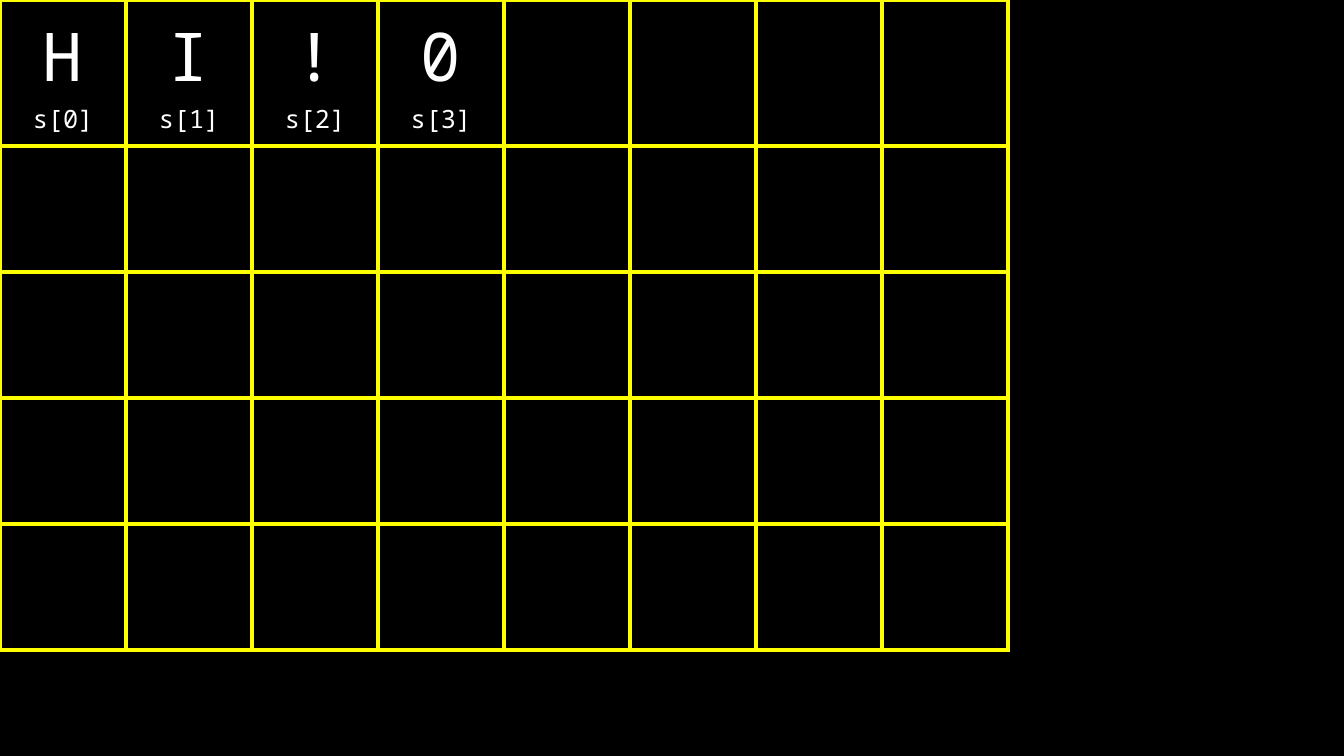
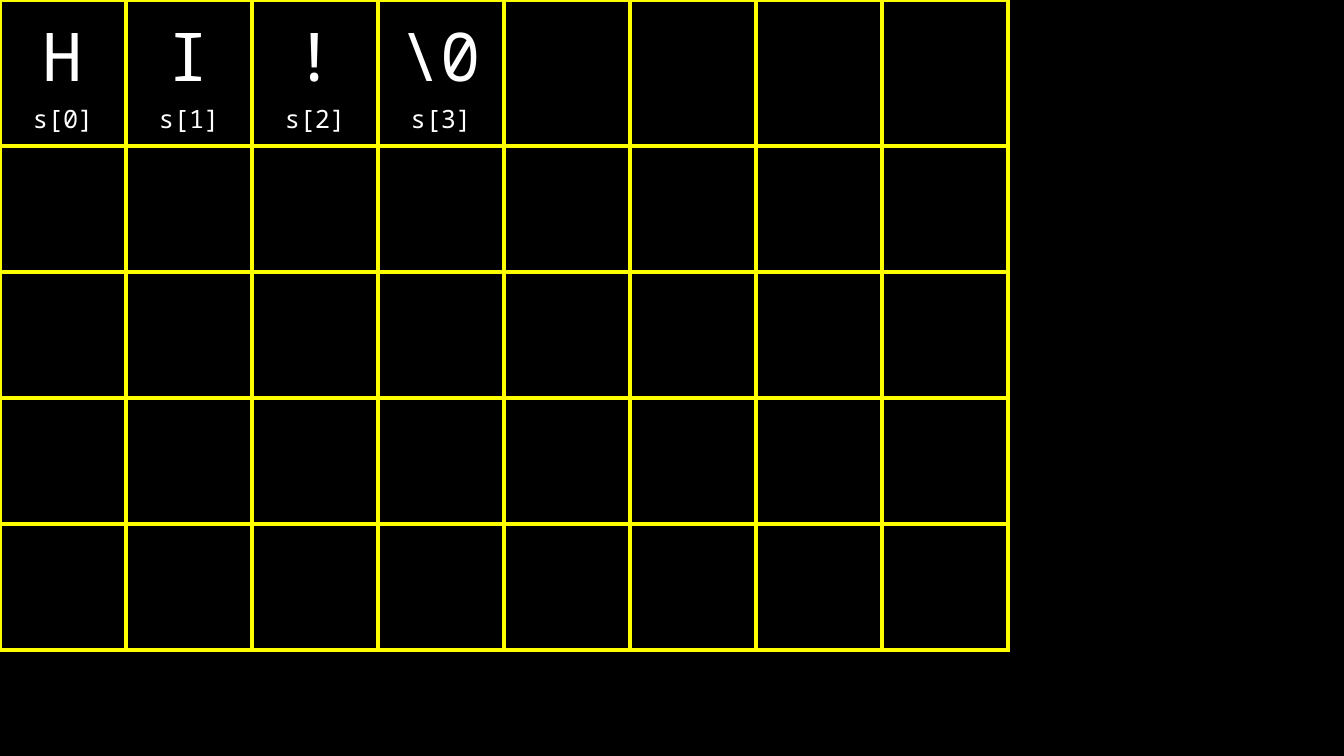
import dataclasses

import lxml.etree
import pptx
import pptx.dml.color
import pptx.enum.text
import pptx.oxml.ns
import pptx.presentation
import pptx.table
import pptx.util

BLACK = pptx.dml.color.RGBColor(0x00, 0x00, 0x00)
WHITE = pptx.dml.color.RGBColor(0xFF, 0xFF, 0xFF)
YELLOW = pptx.dml.color.RGBColor(0xFF, 0xFF, 0x00)
FONT = "Noto Sans Mono"
ROWS = 5
COLS = 8
CELL = pptx.util.Cm(25.4) // COLS
MARGIN = pptx.util.Cm(0.25)
BORDER = pptx.util.Pt(3)
BLANK_LAYOUT = 6


@dataclasses.dataclass(frozen=True)
class MemoryByte:
    value: str
    label: str


def string_bytes(values: list[str]) -> list[MemoryByte]:
    return [MemoryByte(value, f"s[{i}]") for i, value in enumerate(values)]


def style_cell(cell: pptx.table._Cell) -> None:
    qn = pptx.oxml.ns.qn
    cell.margin_left = cell.margin_right = MARGIN
    cell.margin_top = cell.margin_bottom = MARGIN
    cell.vertical_anchor = pptx.enum.text.MSO_ANCHOR.BOTTOM
    tc_pr = cell._tc.get_or_add_tcPr()
    for side in ("lnL", "lnR", "lnT", "lnB"):
        ln = lxml.etree.SubElement(tc_pr, qn(f"a:{side}"), w=str(int(BORDER)))
        fill = lxml.etree.SubElement(ln, qn("a:solidFill"))
        lxml.etree.SubElement(fill, qn("a:srgbClr"), val=str(YELLOW))
    cell.fill.background()


def write_byte(cell: pptx.table._Cell, byte: MemoryByte) -> None:
    tf = cell.text_frame
    tf.text = f"{byte.value}\n{byte.label}"
    for p, size in zip(tf.paragraphs, (48, 18)):
        p.alignment = pptx.enum.text.PP_ALIGN.CENTER
        p.font.name = FONT
        p.font.size = pptx.util.Pt(size)
        p.font.color.rgb = WHITE


def add_memory_slide(prs: pptx.presentation.Presentation, memory: list[MemoryByte]) -> None:
    s = prs.slides.add_slide(prs.slide_layouts[BLANK_LAYOUT])
    table = s.shapes.add_table(ROWS, COLS, 0, 0, CELL * COLS, CELL * ROWS).table
    table.first_row = False
    table.horz_banding = False
    for cell in table.iter_cells():
        style_cell(cell)
    for col, byte in enumerate(memory):
        write_byte(table.cell(0, col), byte)


def main() -> None:
    prs = pptx.Presentation()
    prs.slide_width = pptx.util.Cm(33.87)
    prs.slide_height = pptx.util.Cm(19.05)
    background = prs.slide_master.background.fill
    background.solid()
    background.fore_color.rgb = BLACK
    for terminator in ("0", "\\0"):
        add_memory_slide(prs, string_bytes(["H", "I", "!", terminator]))
    prs.save("out.pptx")


if __name__ == "__main__":
    main()
